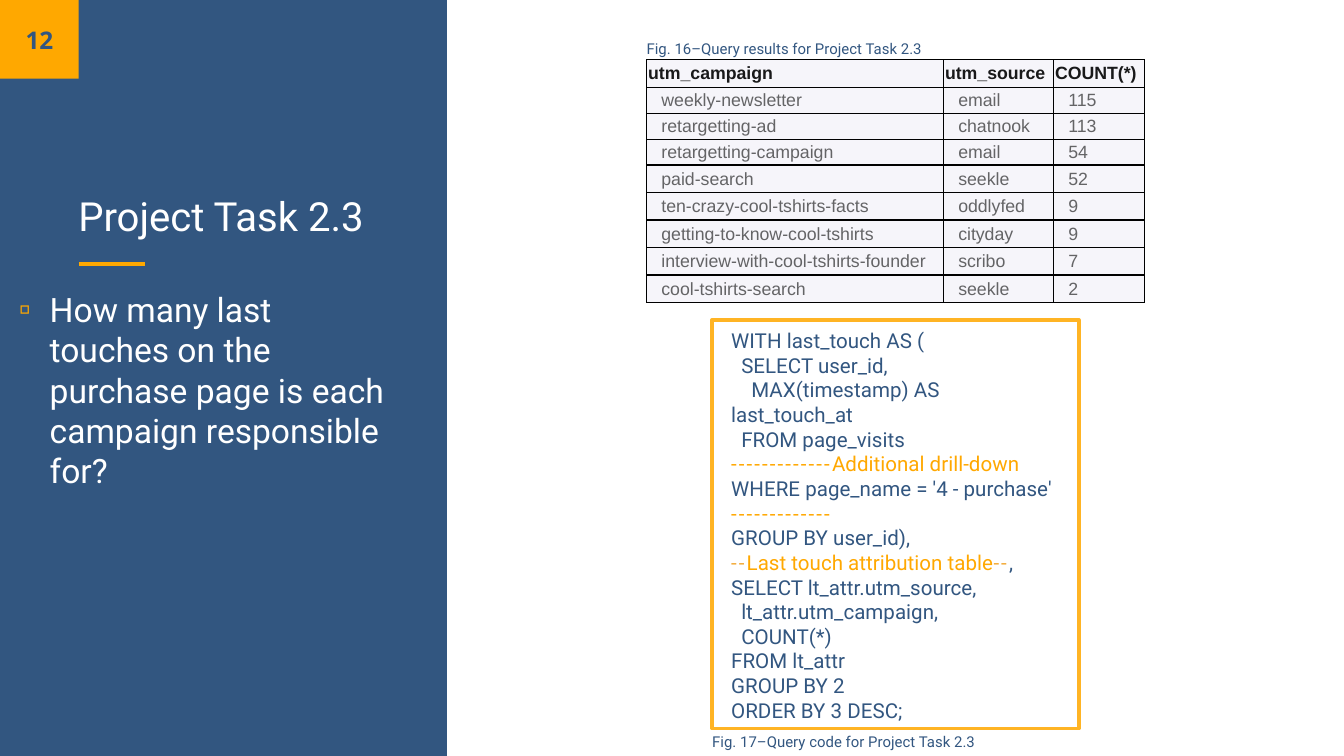
from lxml.etree import SubElement
from pptx import Presentation
from pptx.dml.color import RGBColor
from pptx.enum.shapes import MSO_CONNECTOR as Connector, MSO_SHAPE as Shape
from pptx.enum.text import MSO_ANCHOR as Anchor, PP_ALIGN as Align
from pptx.oxml.ns import qn
from pptx.util import Cm, Pt

PAGE_NUMBER = "12"
TITLE = "Project Task 2.3"
QUESTION = "How many last touches on the purchase page is each campaign responsible for?"
TABLE_CAPTION = "Fig. 16–Query results for Project Task 2.3"
CODE_CAPTION = "Fig. 17–Query code for Project Task 2.3"
RESULTS = [
    ("utm_campaign", "utm_source", "COUNT(*)"),
    ("weekly-newsletter", "email", "115"),
    ("retargetting-ad", "chatnook", "113"),
    ("retargetting-campaign", "email", "54"),
    ("paid-search", "seekle", "52"),
    ("ten-crazy-cool-tshirts-facts", "oddlyfed", "9"),
    ("getting-to-know-cool-tshirts", "cityday", "9"),
    ("interview-with-cool-tshirts-founder", "scribo", "7"),
    ("cool-tshirts-search", "seekle", "2"),
]
QUERY = [
    (0, [("WITH last_touch AS (", "code")]),
    (1, [("SELECT user_id,", "code")]),
    (2, [("MAX(timestamp) AS last_touch_at", "code")]),
    (1, [("FROM page_visits", "code")]),
    (0, [("-------------", "rule"), ("Additional drill-down", "note")]),
    (0, [("WHERE page_name = '4 - purchase'", "code")]),
    (0, [("-------------", "rule")]),
    (0, [("GROUP BY user_id),", "code")]),
    (0, [("--", "dash"), ("Last touch attribution table", "note"), ("--", "dash"), (",", "code")]),
    (0, [("SELECT lt_attr.utm_source,", "code")]),
    (1, [("lt_attr.utm_campaign,", "code")]),
    (1, [("COUNT(*)", "code")]),
    (0, [("FROM lt_attr", "code")]),
    (0, [("GROUP BY 2", "code")]),
    (0, [("ORDER BY 3 DESC;", "code")]),
]
THEME = {
    "blue": "325680", "orange": "FFA800", "frame": "FFB424", "dash": "F3AC3C",
    "white": "FFFFFF", "black": "000000", "cell": "F6F5FA",
    "header": "19191A", "value": "646466",
    "font": "Roboto", "number_font": "Open Sans", "table_font": "Arial", "bullet_font": "Arial",
    "title_size": 21.5, "body_size": 18, "number_size": 13,
    "code_size": 11, "table_size": 9.5, "caption_size": 8,
}
CODE_STYLES = {"code": ("blue", 0), "note": ("orange", 0), "rule": ("orange", 1.1), "dash": ("dash", 1.1)}
COLUMN_WIDTHS = [5.61, 2.08, 1.72]
ROW_HEIGHTS = [0.52] + [0.49] * 3 + [0.52] * 5
SLIDE_WIDTH, SLIDE_HEIGHT, PANEL_WIDTH = 25.4, 14.29, 8.45


def color(name):
    return RGBColor.from_string(THEME[name])


def write(paragraph, text, *, size, ink, font="font", bold=False, spacing=0, align=Align.LEFT):
    paragraph.alignment = align
    run = paragraph.add_run()
    run.text = text
    run.font.name = THEME[font]
    run.font.size = Pt(THEME[size])
    run.font.bold = bold
    run.font.color.rgb = color(ink)
    if spacing:
        run._r.get_or_add_rPr().set("spc", str(round(spacing * 100)))


def set_indent(paragraph, margin, first_line):
    properties = paragraph._p.get_or_add_pPr()
    properties.set("marL", str(Cm(margin)))
    properties.set("indent", str(Cm(first_line)))
    return properties


def add_frame(slide, left, top, width, height, inset=0, anchor=Anchor.TOP, wrap=True):
    frame = slide.shapes.add_textbox(Cm(left), Cm(top), Cm(width), Cm(height)).text_frame
    frame.margin_left = frame.margin_right = frame.margin_top = frame.margin_bottom = Cm(inset)
    frame.vertical_anchor = anchor
    frame.word_wrap = wrap
    return frame


def add_rectangle(slide, left, top, width, height, fill=None, line=None):
    shape = slide.shapes.add_shape(Shape.RECTANGLE, Cm(left), Cm(top), Cm(width), Cm(height))
    shape.shadow.inherit = False
    if fill:
        shape.fill.solid()
        shape.fill.fore_color.rgb = color(fill)
    else:
        shape.fill.background()
    if line:
        shape.line.color.rgb = color(line)
        shape.line.width = Pt(2)
    else:
        shape.line.fill.background()


def add_panel(slide):
    add_rectangle(slide, 0, 0, PANEL_WIDTH, SLIDE_HEIGHT, fill="blue")
    add_rectangle(slide, PANEL_WIDTH, 0, SLIDE_WIDTH - PANEL_WIDTH, SLIDE_HEIGHT, fill="white")
    underline = slide.shapes.add_connector(Connector.STRAIGHT, Cm(1.49), Cm(4.99), Cm(2.74), Cm(4.99))
    underline.line.color.rgb = color("orange")
    underline.line.width = Pt(2.25)
    SubElement(underline._element.spPr, qn("a:effectLst"))
    add_rectangle(slide, 0, 0, 1.49, 1.49, fill="orange")

    title = add_frame(slide, 1.23, 2.9, 5.97, 1.88, inset=0.25, anchor=Anchor.BOTTOM)
    write(title.paragraphs[0], TITLE, size="title_size", ink="white")
    number = add_frame(slide, 0.22, 0.21, 1.05, 1.07, inset=0.25, anchor=Anchor.MIDDLE, wrap=False)
    write(number.paragraphs[0], PAGE_NUMBER, size="number_size", ink="blue",
          font="number_font", bold=True, align=Align.CENTER)

    question = add_frame(slide, 0, 5.21, 7.77, 9.08, inset=0.25).paragraphs[0]
    question.space_before = Pt(6)
    properties = set_indent(question, 0.69, -0.58)
    bullet_color = SubElement(properties, qn("a:buClr"))
    SubElement(bullet_color, qn("a:srgbClr"), val=THEME["orange"])
    SubElement(properties, qn("a:buFont"), typeface=THEME["bullet_font"])
    SubElement(properties, qn("a:buChar"), char="▫")
    write(question, QUESTION, size="body_size", ink="white")


def add_query(slide):
    frame = add_frame(slide, 13.82, 6.2, 6.2, 7.44)
    for index, (level, runs) in enumerate(QUERY):
        paragraph = frame.add_paragraph() if index else frame.paragraphs[0]
        set_indent(paragraph, 0, 0.19 * level)
        for text, style in runs:
            ink, spacing = CODE_STYLES[style]
            write(paragraph, text, size="code_size", ink=ink, spacing=spacing)
    add_rectangle(slide, 13.46, 6.05, 6.93, 7.72, line="frame")


def add_borders(cell):
    properties = cell._tc.get_or_add_tcPr()
    for side in ("lnL", "lnR", "lnT", "lnB"):
        line = SubElement(properties, qn(f"a:{side}"), w=str(Pt(0.75)))
        fill = SubElement(line, qn("a:solidFill"))
        SubElement(fill, qn("a:srgbClr"), val=THEME["black"])


def add_results(slide):
    table = slide.shapes.add_table(
        len(RESULTS), len(COLUMN_WIDTHS), Cm(12.22), Cm(1.13),
        Cm(sum(COLUMN_WIDTHS)), Cm(sum(ROW_HEIGHTS))).table
    table.first_row = table.horz_banding = False
    for column, width in zip(table.columns, COLUMN_WIDTHS):
        column.width = Cm(width)
    for index, (row, height, values) in enumerate(zip(table.rows, ROW_HEIGHTS, RESULTS)):
        row.height = Cm(height)
        is_header = index == 0
        for cell, value in zip(row.cells, values):
            cell.margin_left = cell.margin_right = Cm(0.03 if is_header else 0.28)
            cell.margin_top = cell.margin_bottom = Cm(0.03)
            cell.vertical_anchor = Anchor.MIDDLE
            add_borders(cell)
            cell.fill.solid()
            cell.fill.fore_color.rgb = color("cell")
            write(cell.text_frame.paragraphs[0], value, size="table_size", font="table_font",
                  ink="header" if is_header else "value", bold=is_header)


def main():
    presentation = Presentation()
    presentation.slide_width, presentation.slide_height = Cm(SLIDE_WIDTH), Cm(SLIDE_HEIGHT)
    slide = presentation.slides.add_slide(presentation.slide_layouts[6])
    add_panel(slide)
    add_query(slide)
    add_results(slide)
    for text, left, top in ((CODE_CAPTION, 13.46, 13.84), (TABLE_CAPTION, 12.22, 0.74)):
        caption = add_frame(slide, left, top, 5.8, 0.36)
        write(caption.paragraphs[0], text, size="caption_size", ink="blue")
    presentation.save("out.pptx")


if __name__ == "__main__":
    main()
